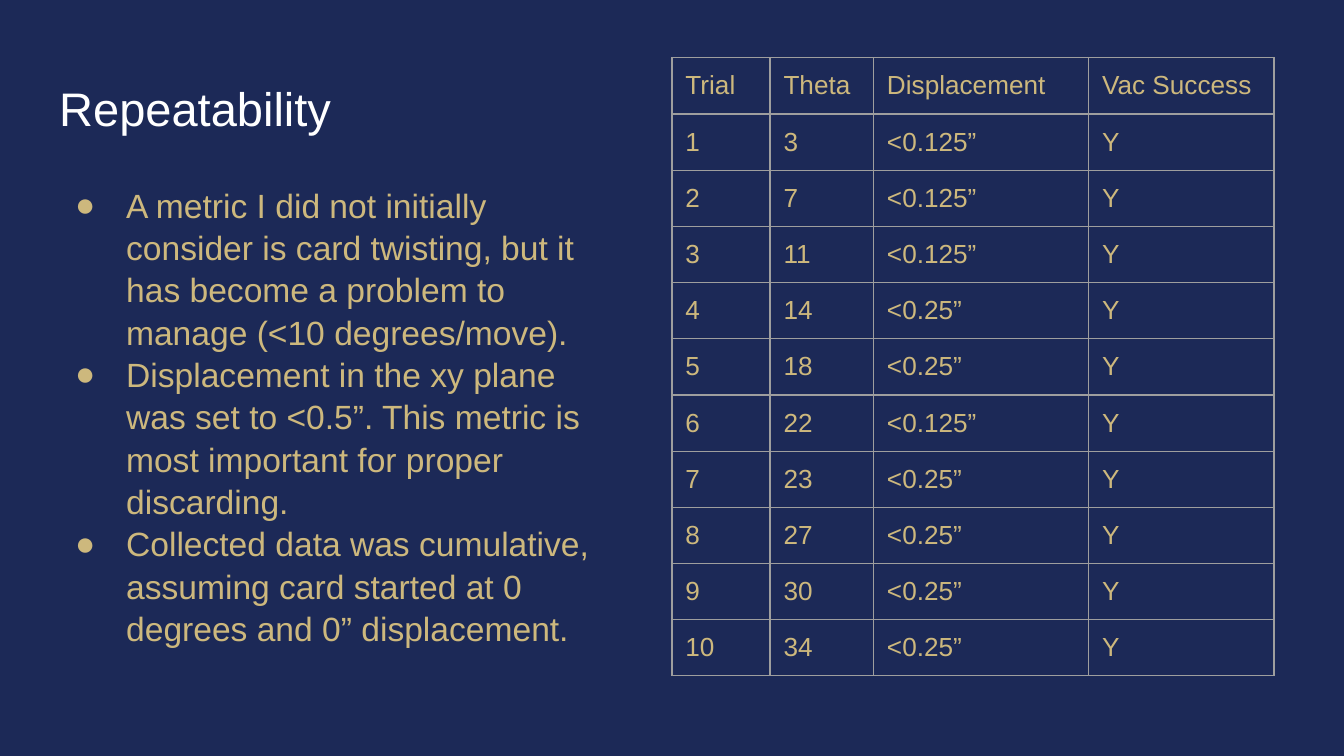
from lxml import etree
from pptx import Presentation
from pptx.dml.color import RGBColor
from pptx.enum.text import MSO_ANCHOR, MSO_AUTO_SIZE, PP_ALIGN
from pptx.oxml.ns import qn
from pptx.util import Inches, Pt

NAVY, GOLD, WHITE, GRAY = "1C2957", "CDB87D", "FFFFFF", "9E9E9E"
FONT = "Arial"

BULLETS = [
    "A metric I did not initially consider is card twisting, but it has "
    "become a problem to manage (<10 degrees/move).",
    "Displacement in the xy plane was set to <0.5”. This metric is most "
    "important for proper discarding.",
    "Collected data was cumulative, assuming card started at 0 degrees "
    "and 0” displacement.",
]
HEADERS = ["Trial", "Theta", "Displacement", "Vac Success"]
COLUMN_WIDTHS = [0.73, 0.77, 1.6, 1.38]
TABLE_HEIGHT = 4.6
THETAS = [3, 7, 11, 14, 18, 22, 23, 27, 30, 34]
SMALL_DISPLACEMENT_TRIALS = {1, 2, 3, 6}


def color(hex_value):
    return RGBColor.from_string(hex_value)


def set_font(paragraph, size, hex_value):
    paragraph.font.name = FONT
    paragraph.font.size = Pt(size)
    paragraph.font.color.rgb = color(hex_value)


def set_margins(target, bottom=0.1):
    """Set the margins of a text frame or a table cell."""
    target.margin_left = target.margin_right = Inches(0.1)
    target.margin_top = Inches(0.1)
    target.margin_bottom = Inches(bottom)


def add_bullet(paragraph):
    properties = paragraph._p.get_or_add_pPr()
    properties.set("marL", str(Inches(0.5)))
    properties.set("indent", str(Inches(-0.38)))
    bullet_color = etree.SubElement(properties, qn("a:buClr"))
    etree.SubElement(bullet_color, qn("a:srgbClr"), val=GOLD)
    etree.SubElement(properties, qn("a:buFont"), typeface=FONT)
    etree.SubElement(properties, qn("a:buChar"), char="●")


def add_borders(cell):
    properties = cell._tc.get_or_add_tcPr()
    for position, side in enumerate(("lnL", "lnR", "lnT", "lnB")):
        line = etree.Element(qn(f"a:{side}"), w=str(Pt(0.75)))
        fill = etree.SubElement(line, qn("a:solidFill"))
        etree.SubElement(fill, qn("a:srgbClr"), val=GRAY)
        properties.insert(position, line)


def set_title(slide, text):
    title = slide.shapes.title
    title.left, title.top = Inches(0.34), Inches(0.49)
    title.width, title.height = Inches(9.32), Inches(0.63)
    frame = title.text_frame
    frame.text = text
    frame.auto_size = MSO_AUTO_SIZE.NONE
    frame.vertical_anchor = MSO_ANCHOR.TOP
    set_margins(frame)
    paragraph = frame.paragraphs[0]
    paragraph.alignment = PP_ALIGN.LEFT
    set_font(paragraph, 25.2, WHITE)


def add_bullet_list(slide, items):
    box = slide.shapes.add_textbox(
        Inches(0.34), Inches(1.26), Inches(4.15), Inches(3.74))
    frame = box.text_frame
    frame.word_wrap = True
    set_margins(frame)
    frame.text = "\n".join(items)
    for paragraph in frame.paragraphs:
        add_bullet(paragraph)
        paragraph.line_spacing = 1.05
        set_font(paragraph, 18, GOLD)


def add_trial_table(slide, rows):
    table = slide.shapes.add_table(
        len(rows), len(COLUMN_WIDTHS), Inches(5), Inches(0.43),
        Inches(sum(COLUMN_WIDTHS)), Inches(TABLE_HEIGHT)).table
    table.first_row = table.horz_banding = False
    for column, width in zip(table.columns, COLUMN_WIDTHS):
        column.width = Inches(width)
    for table_row, values in zip(table.rows, rows):
        table_row.height = Inches(TABLE_HEIGHT / len(rows))
        for cell, value in zip(table_row.cells, values):
            cell.text = str(value)
            set_margins(cell, bottom=0.08)
            cell.fill.background()
            add_borders(cell)
            set_font(cell.text_frame.paragraphs[0], 14, GOLD)


def main():
    presentation = Presentation()
    presentation.slide_width = Inches(10)
    presentation.slide_height = Inches(10 * 9 / 16)
    slide = presentation.slides.add_slide(presentation.slide_layouts[5])
    slide.background.fill.solid()
    slide.background.fill.fore_color.rgb = color(NAVY)

    set_title(slide, "Repeatability")
    add_bullet_list(slide, BULLETS)
    trials = [
        [trial, theta,
         "<0.125”" if trial in SMALL_DISPLACEMENT_TRIALS else "<0.25”", "Y"]
        for trial, theta in enumerate(THETAS, start=1)
    ]
    add_trial_table(slide, [HEADERS] + trials)
    presentation.save("out.pptx")


if __name__ == "__main__":
    main()
